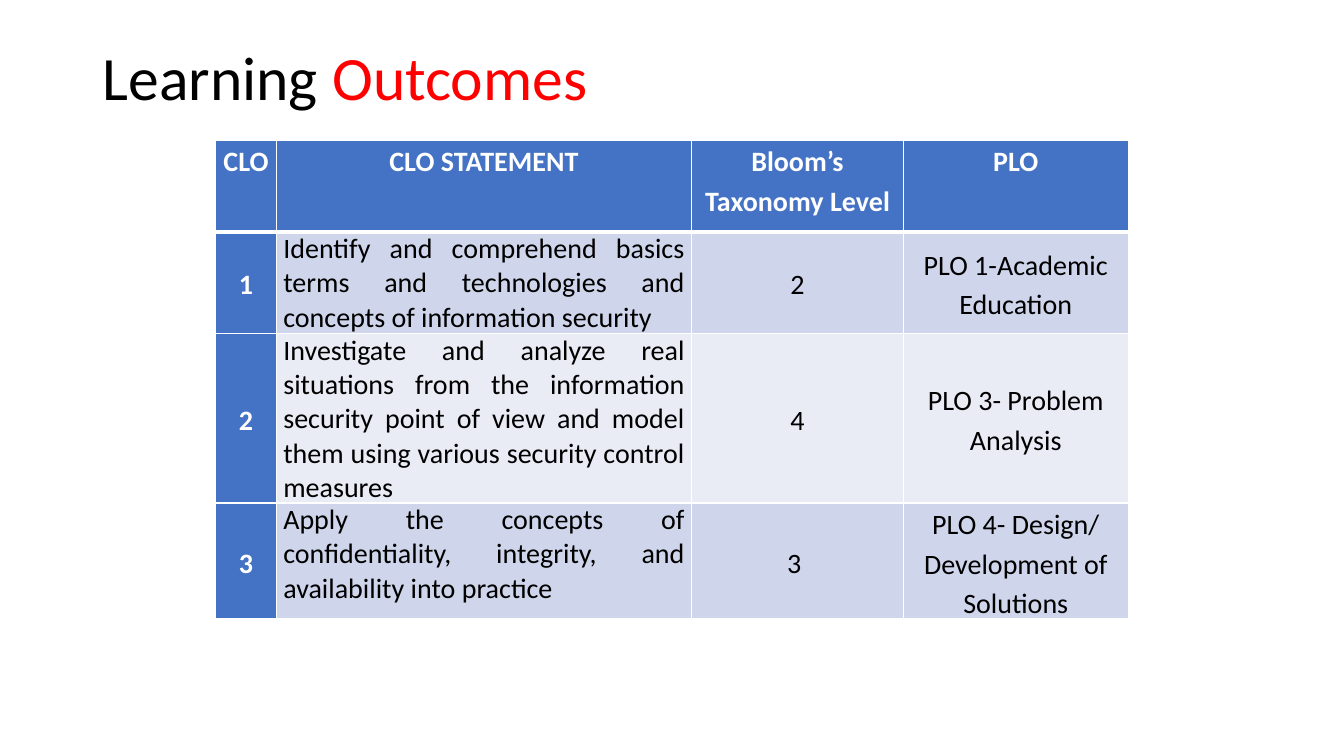
import pptx
import pptx.util
import pptx.dml.color
import pptx.enum.text
import pptx.oxml
import pptx.oxml.ns

Inches, Pt = pptx.util.Inches, pptx.util.Pt
ALIGN = pptx.enum.text.PP_ALIGN
ANCHOR = pptx.enum.text.MSO_ANCHOR
FONT = "Calibri"
COLORS = {"black": "000000", "red": "FF0000", "white": "FFFFFF",
          "head": "4472C4", "odd": "CFD5EA", "even": "E9EBF5"}
WIDTHS = [0.6, 4.12, 2.1, 2.23]
HEIGHTS = [0.91, 1.01, 1.68, 1.13]
ROWS = [
    ["CLO", "CLO STATEMENT", "Bloom’s Taxonomy Level", "PLO"],
    ["1", "Identify and comprehend basics terms and technologies and "
     "concepts of information security", "2", "PLO 1-Academic Education"],
    ["2", "Investigate and analyze real situations from the information "
     "security point of view and model them using various security control "
     "measures", "4", "PLO 3- Problem Analysis"],
    ["3", "Apply the concepts of confidentiality, integrity, and "
     "availability into practice", "3 ",
     "PLO 4- Design/ Development of Solutions"],
]


def color(name):
    return pptx.dml.color.RGBColor.from_string(COLORS[name])


def add_title(slide, left, top, width, height):
    box = slide.shapes.add_textbox(*map(Inches, (left, top, width, height)))
    frame = box.text_frame
    frame.word_wrap = True
    frame.vertical_anchor = ANCHOR.MIDDLE
    para = frame.paragraphs[0]
    para.line_spacing = 0.9
    para.font.name, para.font.size = FONT, Pt(44)
    for text, name in (("Learning ", "black"), ("Outcomes", "red")):
        run = para.add_run()
        run.text = text
        run.font.color.rgb = color(name)


def set_edges(cell, widths):
    """Draw white left, right, top and bottom borders, widths in points."""
    props = cell._tc.get_or_add_tcPr()
    for spot, (side, width) in enumerate(zip("LRTB", widths)):
        props.insert(spot, pptx.oxml.parse_xml(
            f'<a:ln{side} {pptx.oxml.ns.nsdecls("a")} w="{Pt(width)}">'
            f'<a:solidFill><a:srgbClr val="{COLORS["white"]}"/></a:solidFill>'
            f'</a:ln{side}>'))


def fill_cell(cell, text, row, col):
    head = row == 0 or col == 0
    prose = row > 0 and col == 1
    cell.margin_left = cell.margin_right = Inches(0.07)
    cell.margin_top = cell.margin_bottom = 0
    cell.vertical_anchor = ANCHOR.TOP if row == 0 or prose else ANCHOR.MIDDLE
    cell.fill.solid()
    cell.fill.fore_color.rgb = color(
        "head" if head else "odd" if row % 2 else "even")
    set_edges(cell, (1, 1, 3 if row == 1 else 1, 3 if row == 0 else 1))
    cell.text = text
    para = cell.text_frame.paragraphs[0]
    para.alignment = ALIGN.JUSTIFY if prose else ALIGN.CENTER
    para.line_spacing = 1.0 if prose else 1.15
    font = para.font
    font.name, font.size, font.bold = FONT, Pt(20), head
    font.color.rgb = color("white" if head else "black")


def add_grid(slide, left, top):
    frame = slide.shapes.add_table(
        len(HEIGHTS), len(WIDTHS), Inches(left), Inches(top),
        Inches(sum(WIDTHS)), Inches(sum(HEIGHTS)))
    table = frame.table
    for col, width in zip(table.columns, WIDTHS):
        col.width = Inches(width)
    for row, height in zip(table.rows, HEIGHTS):
        row.height = Inches(height)
    for row, texts in enumerate(ROWS):
        for col, text in enumerate(texts):
            fill_cell(table.cell(row, col), text, row, col)


def main():
    deck = pptx.Presentation()
    deck.slide_width, deck.slide_height = Inches(13.33), Inches(7.5)
    slide = deck.slides.add_slide(deck.slide_layouts[6])
    add_title(slide, 0.92, 0.4, 11.5, 0.79)
    add_grid(slide, 2.14, 1.39)
    deck.save("out.pptx")


if __name__ == "__main__":
    main()
